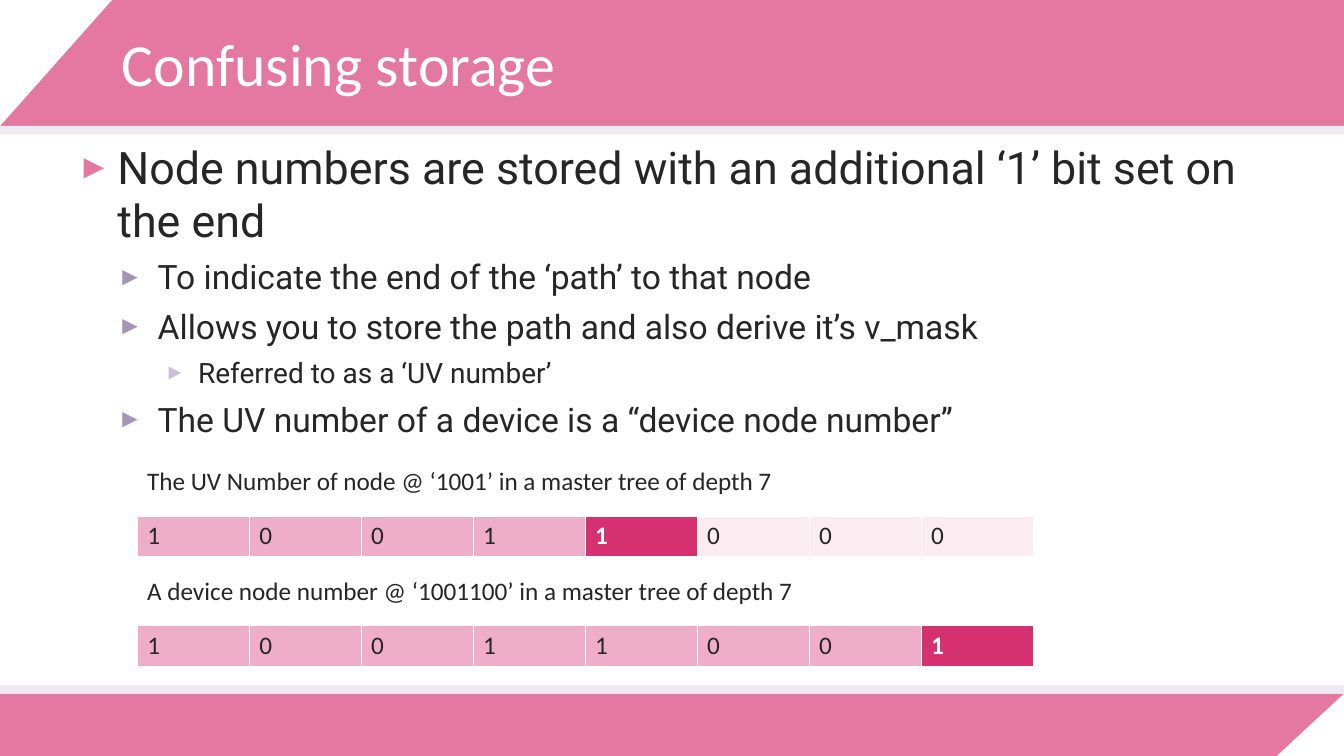
import dataclasses
import typing

import pptx
import pptx.dml.color
import pptx.enum.shapes
import pptx.enum.text
import pptx.oxml.ns
import pptx.util
from lxml import etree

Pt = pptx.util.Pt
Shape = pptx.enum.shapes.MSO_SHAPE
Anchor = pptx.enum.text.MSO_ANCHOR
qn = pptx.oxml.ns.qn

COLORS = {
    "pink": "E478A1", "lilac": "EFE9F4", "white": "FFFFFF", "ink": "262626",
    "purple": "A694B7", "mauve": "CABFD4",
    "path": "EFAEC7", "end": "D5306F", "unused": "FAECF0",
}
W, H = 960, 540


class Box(typing.NamedTuple):
    x: float
    y: float
    w: float
    h: float


class Level(typing.NamedTuple):
    size: float
    margin: float
    indent: float
    before: float
    bullet: str


class Bullet(typing.NamedTuple):
    level: int
    text: str


@dataclasses.dataclass
class BitRow:
    caption: str
    bits: str
    end: int
    y: float


LEVELS = [
    Level(32, 28.8, -28.8, 8, "pink"),
    Level(24, 57.6, -28.8, 6.7, "purple"),
    Level(20, 86.4, -23.8, 6.7, "mauve"),
]
BULLETS = [
    Bullet(0, "Node numbers are stored with an additional ‘1’ bit set on the end"),
    Bullet(1, "To indicate the end of the ‘path’ to that node"),
    Bullet(1, "Allows you to store the path and also derive it’s v_mask"),
    Bullet(2, "Referred to as a ‘UV number’"),
    Bullet(1, "The UV number of a device is a “device node number”"),
]
BIT_ROWS = [
    BitRow("The UV Number of node @ ‘1001’ in a master tree of depth 7",
           "10011000", 4, 329),
    BitRow("A device node number @ ‘1001100’ in a master tree of depth 7",
           "10011001", 7, 407.5),
]
BITS_X, BIT_W, BIT_H, CAPTION_GAP = 98, 80, 28.8, 39.5


def rgb(name: str) -> pptx.dml.color.RGBColor:
    return pptx.dml.color.RGBColor.from_string(COLORS[name])


def points(box: Box) -> list:
    return [Pt(v) for v in box]


def set_text(p, text: str, size: float, font: str = "Calibri",
             color: str = "ink", bold: bool = False) -> None:
    r = p.add_run()
    r.text = text
    for key, value in {"size": Pt(size), "name": font, "bold": bold}.items():
        setattr(r.font, key, value)
    r.font.color.rgb = rgb(color)


def add_block(slide, kind, box: Box, color: str, turn: int = 0) -> None:
    """Draw a borderless shape; a quarter turn keeps it inside box."""
    x, y, w, h = box
    if turn:
        x, y, w, h = x + (w - h) / 2, y + (h - w) / 2, h, w
    sp = slide.shapes.add_shape(kind, *points(Box(x, y, w, h)))
    sp.rotation = turn
    sp.shadow.inherit = False
    sp.fill.solid()
    sp.fill.fore_color.rgb = rgb(color)
    sp.line.fill.background()


def add_text(slide, box: Box, anchor=Anchor.TOP):
    tf = slide.shapes.add_textbox(*points(box)).text_frame
    for key, value in {"word_wrap": True, "vertical_anchor": anchor}.items():
        setattr(tf, key, value)
    return tf


def add_bullet(p, item: Bullet) -> None:
    level = LEVELS[item.level]
    p.level = item.level
    p.space_before = Pt(level.before)
    set_text(p, item.text, level.size, "Roboto")
    pPr = p._p.get_or_add_pPr()
    pPr.set("marL", str(Pt(level.margin)))
    pPr.set("indent", str(Pt(level.indent)))
    clr = etree.SubElement(pPr, qn("a:buClr"))
    etree.SubElement(clr, qn("a:srgbClr"), val=COLORS[level.bullet])
    etree.SubElement(pPr, qn("a:buSzPct"), val="76000")
    etree.SubElement(pPr, qn("a:buFont"), typeface="Arial")
    etree.SubElement(pPr, qn("a:buChar"), char="►")


def add_borders(cell) -> None:
    tcPr = cell._tc.get_or_add_tcPr()
    for i, side in enumerate(("a:lnL", "a:lnR", "a:lnT", "a:lnB")):
        ln = etree.Element(qn(side), w=str(Pt(1)))
        fill = etree.SubElement(ln, qn("a:solidFill"))
        etree.SubElement(fill, qn("a:srgbClr"), val=COLORS["white"])
        tcPr.insert(i, ln)


def add_bit_row(slide, row: BitRow) -> None:
    n = len(row.bits)
    box = Box(BITS_X, row.y + CAPTION_GAP, n * BIT_W, BIT_H)
    table = slide.shapes.add_table(1, n, *points(box)).table
    for key in ("first_row", "horz_banding"):
        setattr(table, key, False)
    for i, bit in enumerate(row.bits):
        table.columns[i].width = Pt(BIT_W)
        cell = table.cell(0, i)
        is_end = i == row.end
        cell.fill.solid()
        cell.fill.fore_color.rgb = rgb(
            "end" if is_end else "path" if i < row.end else "unused")
        set_text(cell.text_frame.paragraphs[0], bit, 18,
                 color="white" if is_end else "ink", bold=is_end)
        add_borders(cell)
    tf = add_text(slide, Box(BITS_X, row.y, 682, BIT_H))
    set_text(tf.paragraphs[0], row.caption, 18)


prs = pptx.Presentation()
prs.slide_width, prs.slide_height = Pt(W), Pt(H)
s = prs.slides.add_slide(prs.slide_layouts[6])

# Footer and header bands with cut corners
add_block(s, Shape.RECTANGLE, Box(0, 495.5, W, 44.5), "pink")
add_block(s, Shape.RIGHT_TRIANGLE, Box(W - 48, 495.5, 48, 44.5), "white", 270)
add_block(s, Shape.RECTANGLE, Box(0, 0, W, 90), "pink")
add_block(s, Shape.RIGHT_TRIANGLE, Box(0, 0, 80, 90), "white", 90)
for strip_y in (90, 489.5):
    add_block(s, Shape.RECTANGLE, Box(0, strip_y, W, 6), "lilac")

# Title
tf = add_text(s, Box(80, 0, 832, 90), Anchor.MIDDLE)
set_text(tf.paragraphs[0], "Confusing storage", 42.7, color="white")

# Bullets
tf = add_text(s, Box(48, 96, 864, 389))
for i, item in enumerate(BULLETS):
    add_bullet(tf.add_paragraph() if i else tf.paragraphs[0], item)

# Bit rows with captions
for row in BIT_ROWS:
    add_bit_row(s, row)

prs.save("out.pptx")
